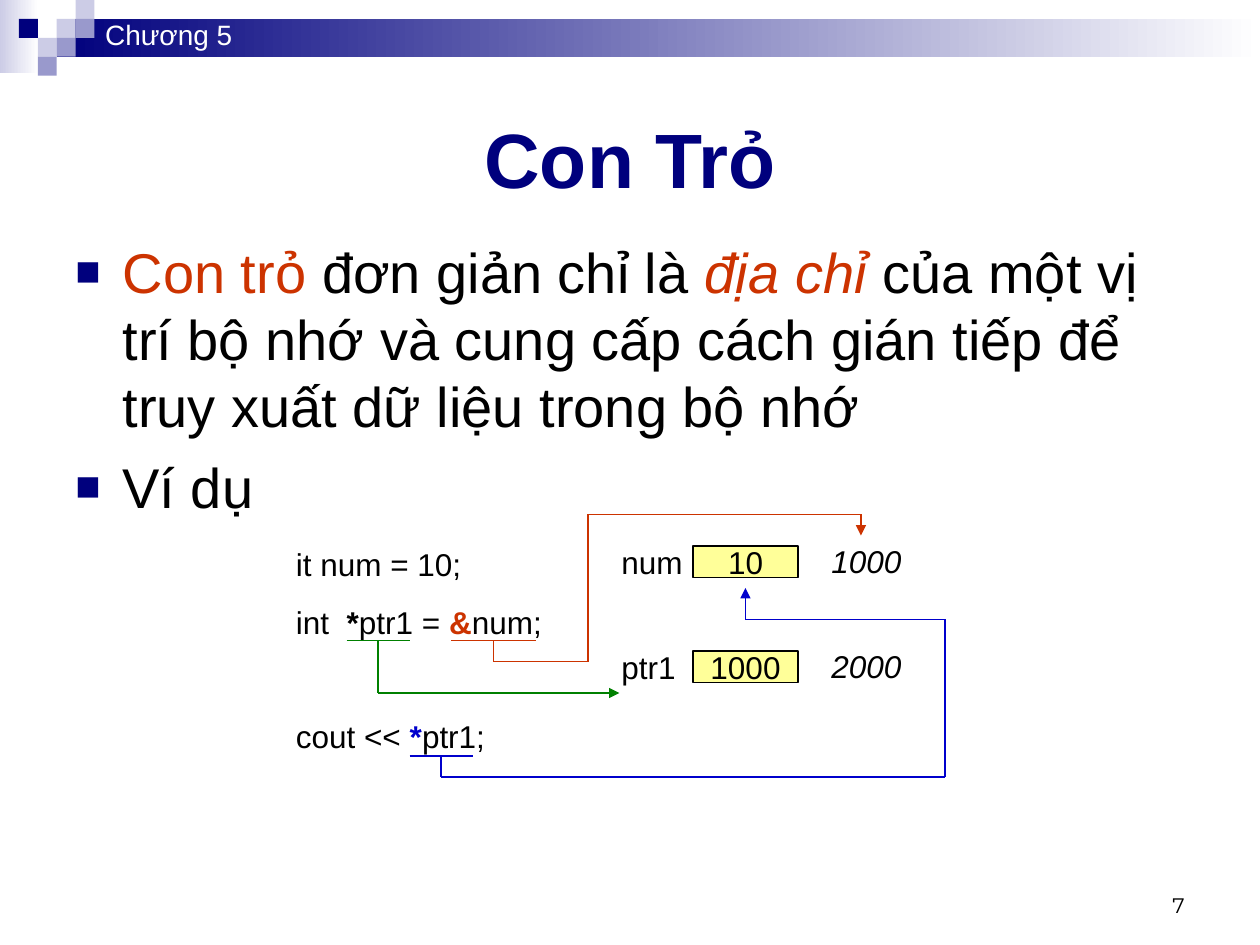
from itertools import pairwise

from pptx import Presentation
from pptx import util as u
from pptx.dml.color import RGBColor
from pptx.enum import shapes, text
from pptx.oxml.ns import qn
from lxml import etree

NAVY = RGBColor(0x00, 0x00, 0x7D)
LILAC = RGBColor(0x99, 0x99, 0xCC)
PALE = RGBColor(0xCC, 0xCC, 0xE6)
WHITE = RGBColor(0xFF, 0xFF, 0xFF)
BLACK = RGBColor(0x00, 0x00, 0x00)
CREAM = RGBColor(0xFF, 0xFF, 0x99)
RED = RGBColor(0xCC, 0x33, 0x00)
BLUE = RGBColor(0x00, 0x00, 0xCC)
GREEN = RGBColor(0x00, 0x80, 0x00)
LEFT, MID, RIGHT = text.PP_ALIGN.LEFT, text.PP_ALIGN.CENTER, text.PP_ALIGN.RIGHT
TOP, HALF, LOW = (text.MSO_ANCHOR.TOP, text.MSO_ANCHOR.MIDDLE,
                  text.MSO_ANCHOR.BOTTOM)
UNIT = 10.8


def child(node, tag, **attrs):
    """Append a drawing element to a node."""
    return etree.SubElement(node, qn(tag), attrs)


def add_run(para, words, size, color=BLACK, style="", font="Arial"):
    """Add one run; style holds b for bold and i for italic."""
    run = para.add_run()
    run.text = words
    face = run.font
    face.name, face.size = font, u.Pt(size)
    face.bold, face.italic = "b" in style, "i" in style
    face.color.rgb = color


def add_text(slide, area, paras, size, align=LEFT, anchor=TOP, gap=0,
             font="Arial"):
    """Add a text box and return its paragraphs."""
    frame = slide.shapes.add_textbox(*map(u.Pt, area)).text_frame
    frame.word_wrap = True
    frame.vertical_anchor = anchor
    for i, runs in enumerate(paras):
        para = frame.add_paragraph() if i else frame.paragraphs[0]
        para.alignment, para.space_before = align, u.Pt(gap)
        for run in runs:
            add_run(para, *run[:1], size, *run[1:], font=font)
    return frame.paragraphs


def add_bullet(para):
    """Give a paragraph a hanging square bullet."""
    props = para._p.get_or_add_pPr()
    props.set("marL", str(u.Pt(27)))
    props.set("indent", str(u.Pt(-27)))
    child(child(props, "a:buClr"), "a:srgbClr", val=str(NAVY))
    child(props, "a:buSzPct", val="75000")
    child(props, "a:buFont", typeface="Arial")
    child(props, "a:buChar", char="■")


def add_rect(slide, area, color, edge=None):
    """Add a plain rectangle."""
    rect = slide.shapes.add_shape(shapes.MSO_SHAPE.RECTANGLE, *map(u.Pt, area))
    rect.shadow.inherit = False
    rect.fill.solid()
    rect.fill.fore_color.rgb = color
    if edge is None:
        rect.line.fill.background()
    else:
        rect.line.color.rgb, rect.line.width = edge, u.Pt(0.75)
    return rect


def add_fade(slide, area, color):
    """Add a rectangle that fades to white at its right side."""
    fill = add_rect(slide, area, color).fill
    fill.gradient()
    fill.gradient_angle = 180
    for stop, tone, place in zip(fill.gradient_stops, (WHITE, color), (0, 1)):
        stop.color.rgb, stop.position = tone, place


def add_line(slide, start, end, color, head=False):
    """Add a straight line, with an arrowhead at its end if asked."""
    line = slide.shapes.add_connector(
        shapes.MSO_CONNECTOR.STRAIGHT, *map(u.Pt, (*start, *end)))
    line.line.color.rgb, line.line.width = color, u.Pt(0.75)
    if head:
        child(line.line._get_or_add_ln(), "a:tailEnd", type="triangle")
    child(line._element.spPr, "a:effectLst")


def add_route(slide, left, right, points, color):
    """Underline a term and lead an arrow from it through the points."""
    top = points[0][1]
    add_line(slide, (left, top), (right, top), color)
    legs = list(pairwise(points))
    for i, (start, end) in enumerate(legs, 1):
        add_line(slide, start, end, color, i == len(legs))


def add_cell(slide, top, name, value, place):
    """Add a memory cell with its name and address."""
    box = add_rect(slide, (396, top, 60, 18), CREAM, BLACK)
    frame = box.text_frame
    frame.word_wrap, frame.vertical_anchor = False, HALF
    frame.paragraphs[0].alignment = MID
    add_run(frame.paragraphs[0], value, 18)
    add_text(slide, (348, top - 5, 54, 29), [[(name,)]], 18, gap=11.2)
    add_text(slide, (468, top - 6, 66, 29), [[(place, BLACK, "i")]], 18,
             gap=11.2)


def add_band(slide):
    """Add the header band and its squares."""
    add_fade(slide, (0, 0, 22, 42), PALE)
    add_fade(slide, (3 * UNIT, UNIT, 720 - 3 * UNIT, 2 * UNIT), NAVY)
    for col, row, color in ((3, 1, PALE), (4, 0, PALE), (4, 1, LILAC),
                            (2, 2, PALE), (1, 1, NAVY), (3, 2, LILAC),
                            (2, 3, LILAC)):
        add_rect(slide, (col * UNIT, row * UNIT, UNIT, UNIT), color)


def main():
    """Build the slide and save it."""
    deck = Presentation()
    deck.slide_width, deck.slide_height = u.Pt(720), u.Pt(540)
    slide = deck.slides.add_slide(deck.slide_layouts[6])
    add_band(slide)
    add_text(slide, (36, 36, 648, 108), [[("Con Trỏ", NAVY, "b")]], 44,
             MID, HALF)
    body = add_text(slide, (36, 132, 648, 378), [
        [("Con trỏ", RED), (" đơn giản chỉ là ",), ("địa chỉ ", RED, "i"),
         ("của một vị trí bộ nhớ và cung cấp cách gián tiếp để "
          "truy xuất dữ liệu trong bộ nhớ",)],
        [("Ví dụ",)]], 32, gap=8)
    for para in body:
        add_bullet(para)
    code = add_text(slide, (162, 308, 264, 127.5), [
        [("it num = 10;",)],
        [("int  ",), ("*", BLACK, "b"), ("ptr1 = ",), ("&", RED, "b"),
         ("num;",)],
        [("cout << ",), ("*", BLUE, "b"), ("ptr1;",)]], 18, gap=11.2)
    code[-1].space_before = u.Pt(43.6)
    add_cell(slide, 312, "num", "10", "1000")
    add_cell(slide, 372, "ptr1", "1000", "2000")
    add_route(slide, 258, 306, [(282, 366), (282, 378), (336, 378),
                                (336, 294), (492, 294), (492, 306)], RED)
    add_route(slide, 234, 270, [(252, 432), (252, 444), (540, 444),
                                (540, 354), (426, 354), (426, 336)], BLUE)
    add_route(slide, 198, 234, [(216, 366), (216, 396), (354, 396)], GREEN)
    add_text(slide, (53, 6.5, 126, 26.5), [[("Chương 5", WHITE)]], 16, gap=10)
    add_text(slide, (516, 492, 168, 36), [[("7",)]], 12, RIGHT, LOW,
             font="Montserrat")
    deck.save("out.pptx")


if __name__ == "__main__":
    main()
